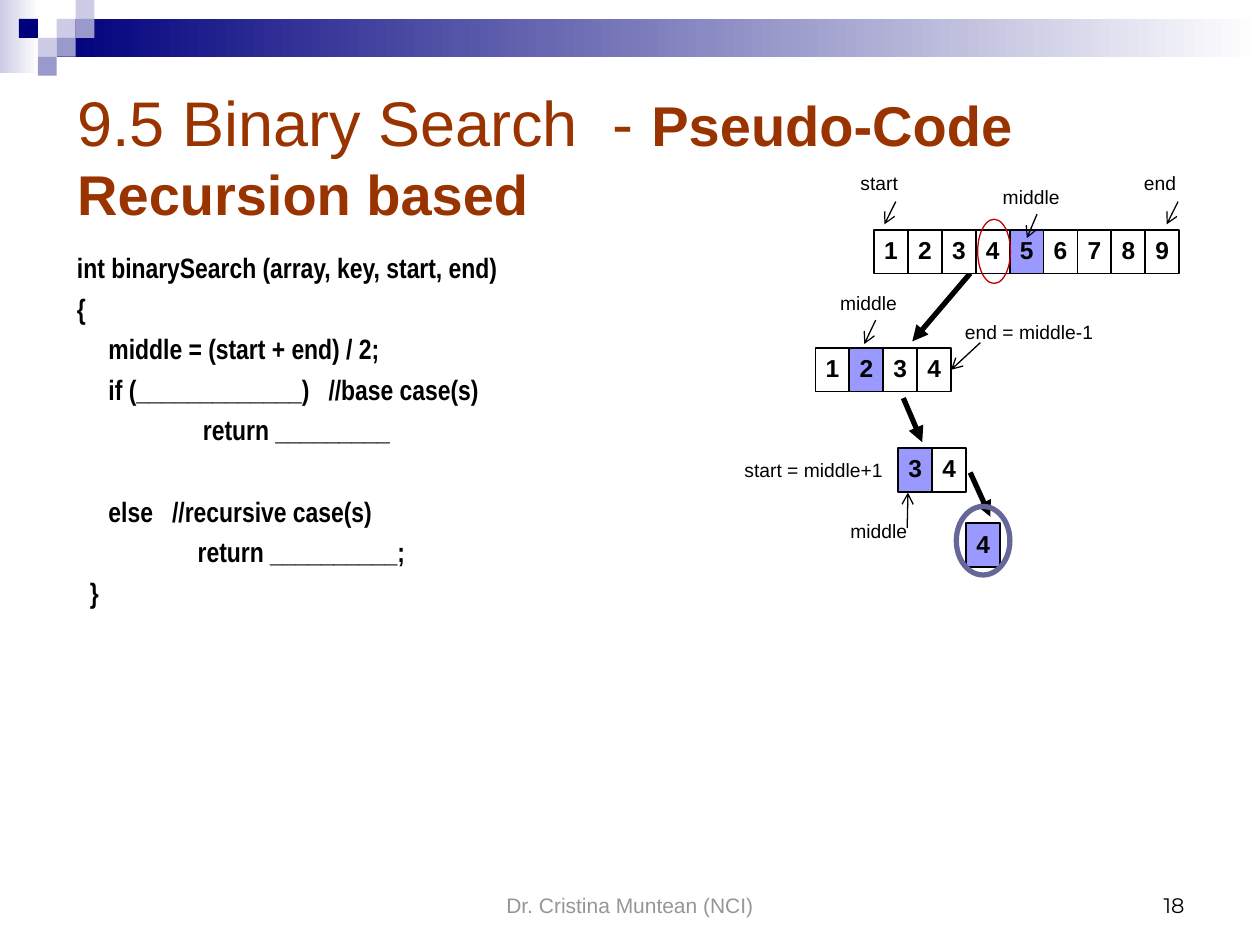
from lxml import etree
from pptx import Presentation
from pptx.dml.color import RGBColor
from pptx.enum import shapes, text
from pptx.oxml.ns import qn
from pptx.util import Pt

COLORS = {
    "navy": "00007D", "lavender": "CCCCE6", "periwinkle": "9999CC", "white": "FFFFFF",
    "black": "000000", "rust": "993300", "gray": "969696", "pivot": "9999FF",
    "key": "C00000", "found": "666699",
}
BANDS = [("lavender", 0, 0, 22.3, 41.8), ("navy", 32.4, 10.8, 687.6, 21.6)]
TILE = 10.8
TILES = [(3, 1, "lavender"), (4, 0, "lavender"), (4, 1, "periwinkle"), (2, 2, "lavender"),
         (1, 1, "navy"), (3, 2, "periwinkle"), (2, 3, "periwinkle")]

TITLE = [("9.5 Binary Search  - ", 36, False), ("Pseudo-Code", 32, True),
         ("Recursion based", 32, True)]
CODE = [
    ("int binarySearch (array, key, start, end)", 0, 4),
    ("{", 0, 4),
    ("middle = (start + end) / 2;", 18, 4),
    ("if (_____________)   //base case(s)", 18, 4),
    ("return _________", 72, 4),
    ("else   //recursive case(s)", 18, 27.2),
    ("return __________;", 69, 4),
    ("}", 7.4, 4),
]

CELL_WIDTH, CELL_HEIGHT = 19.37, 25
FULL_ARRAY = (499.5, 131.4, range(1, 10), 5)
SUBARRAYS = [(466, 198.8, range(1, 5), 2), (513.3, 256, range(3, 5), 3), (552.2, 299, [4], 4)]
STEP_ARROWS = [(554.4, 156.2, 521.3, 195.1), (516.2, 227.5, 527, 252.7),
               (554.4, 270, 565.9, 295.2)]
LABELS = [
    ("middle", 565.9, 102.2, 54), ("middle", 473, 162.7, 54), ("middle", 478.8, 293, 54),
    ("start", 484.6, 94.3, 54), ("end", 646.6, 94.3, 54),
    ("end = middle-1", 544.3, 179.3, 120), ("start = middle+1", 418.3, 258.5, 112),
]
POINTERS = [(592.6, 122.4, 586.8, 136.1), (500.4, 182.9, 493.9, 196.6),
            (518.4, 301.7, 518.8, 281.5), (511.9, 115.2, 505.4, 128.2),
            (673.2, 115.2, 666.7, 128.2)]
RINGS = [(546.5, 289.4, 30.6, 39.2, "found", 3), (558.7, 125.3, 18.7, 36.7, "key", 0.75)]

presentation = Presentation()
presentation.slide_width, presentation.slide_height = Pt(720), Pt(540)
slide = presentation.slides.add_slide(presentation.slide_layouts[5])


def rgb(name):
    return RGBColor.from_string(COLORS[name])


def format_run(run, size, color="black", bold=False, font="Arial"):
    run.font.size, run.font.bold, run.font.name = Pt(size), bold, font
    run.font.color.rgb = rgb(color)


def add_shape(kind, left, top, width, height, fill=None, line=None, line_width=1):
    shape = slide.shapes.add_shape(kind, Pt(left), Pt(top), Pt(width), Pt(height))
    shape.shadow.inherit = False
    if fill:
        shape.fill.solid()
        shape.fill.fore_color.rgb = rgb(fill)
    else:
        shape.fill.background()
    if line:
        shape.line.color.rgb = rgb(line)
        shape.line.width = Pt(line_width)
    else:
        shape.line.fill.background()
    return shape


def add_label(words, left, top, width, height, size=11, color="black", font="Arial",
              align=text.PP_ALIGN.LEFT, anchor=text.MSO_ANCHOR.TOP):
    frame = slide.shapes.add_textbox(Pt(left), Pt(top), Pt(width), Pt(height)).text_frame
    frame.word_wrap = True
    frame.vertical_anchor = anchor
    frame.text = words
    frame.paragraphs[0].alignment = align
    format_run(frame.paragraphs[0].runs[0], size, color, font=font)


def add_arrow(start_x, start_y, end_x, end_y, width, head):
    arrow = slide.shapes.add_connector(shapes.MSO_CONNECTOR.STRAIGHT, Pt(start_x), Pt(start_y),
                                       Pt(end_x), Pt(end_y))
    arrow.line.color.rgb = rgb("black")
    arrow.line.width = Pt(width)
    etree.SubElement(arrow.line._get_or_add_ln(), qn("a:tailEnd"), type=head)
    etree.SubElement(arrow._element.spPr, qn("a:effectLst"))
    return arrow


def add_array(left, top, values, middle):
    cells = []
    for index, value in enumerate(values):
        cell = add_shape(shapes.MSO_SHAPE.RECTANGLE, left + index * CELL_WIDTH, top, CELL_WIDTH,
                         CELL_HEIGHT, "pivot" if value == middle else "white", "black")
        frame = cell.text_frame
        frame.word_wrap = False
        frame.vertical_anchor = text.MSO_ANCHOR.MIDDLE
        frame.text = str(value)
        paragraph = frame.paragraphs[0]
        paragraph.alignment = text.PP_ALIGN.CENTER
        paragraph.line_spacing = 0.9
        format_run(paragraph.runs[0], 14, bold=True)
        cells.append(cell)
    return cells


for color, *box in BANDS:
    band = add_shape(shapes.MSO_SHAPE.RECTANGLE, *box, color)
    band.fill.gradient()
    band.fill.gradient_angle = 0
    for stop, name, position in zip(band.fill.gradient_stops, (color, "white"), (0, 1)):
        stop.color.rgb = rgb(name)
        stop.position = position
for column, row, color in TILES:
    add_shape(shapes.MSO_SHAPE.RECTANGLE, column * TILE, row * TILE, TILE, TILE, color)

add_label("Dr. Cristina Muntean (NCI)", 246, 492, 228, 36, 12, "gray",
          align=text.PP_ALIGN.CENTER, anchor=text.MSO_ANCHOR.BOTTOM)
add_label("18", 516, 492, 168, 36, 12, font="Montserrat",
          align=text.PP_ALIGN.RIGHT, anchor=text.MSO_ANCHOR.BOTTOM)

title = slide.shapes.title
title.left, title.top, title.width, title.height = Pt(36.9), Pt(41), Pt(648), Pt(95)
title.text_frame.auto_size = text.MSO_AUTO_SIZE.NONE
title.text_frame.vertical_anchor = text.MSO_ANCHOR.MIDDLE
heading = title.text_frame.paragraphs[0]
heading.alignment = text.PP_ALIGN.LEFT
for index, (words, size, bold) in enumerate(TITLE):
    if index == 2:
        heading.add_line_break()
    run = heading.add_run()
    run.text = words
    format_run(run, size, "rust", bold)

code_frame = slide.shapes.add_textbox(Pt(36.9), Pt(139.7), Pt(323), Pt(363)).text_frame
code_frame.word_wrap = True
code_frame.text = "\n".join(words for words, _, _ in CODE)
for paragraph, (_, indent, space) in zip(code_frame.paragraphs, CODE):
    paragraph.space_before = Pt(space)
    paragraph._p.get_or_add_pPr().set("marL", str(Pt(indent)))
    format_run(paragraph.runs[0], 16, bold=True, font="Arial Narrow")

subarray_cells = [add_array(*subarray) for subarray in SUBARRAYS]
for points in STEP_ARROWS:
    add_arrow(*points, 3, "triangle")
add_array(*FULL_ARRAY)
for left, top, width, height, color, line_width in RINGS:
    add_shape(shapes.MSO_SHAPE.OVAL, left, top, width, height, None, color, line_width)
for words, left, top, width in LABELS:
    add_label(words, left, top, width, 20.9)
for points in POINTERS:
    add_arrow(*points, 0.75, "arrow")
end_pointer = add_arrow(560.2, 195.8, 543.6, 211.7, 0.75, "arrow")
end_pointer.end_connect(subarray_cells[0][-1], 3)

presentation.save("out.pptx")
